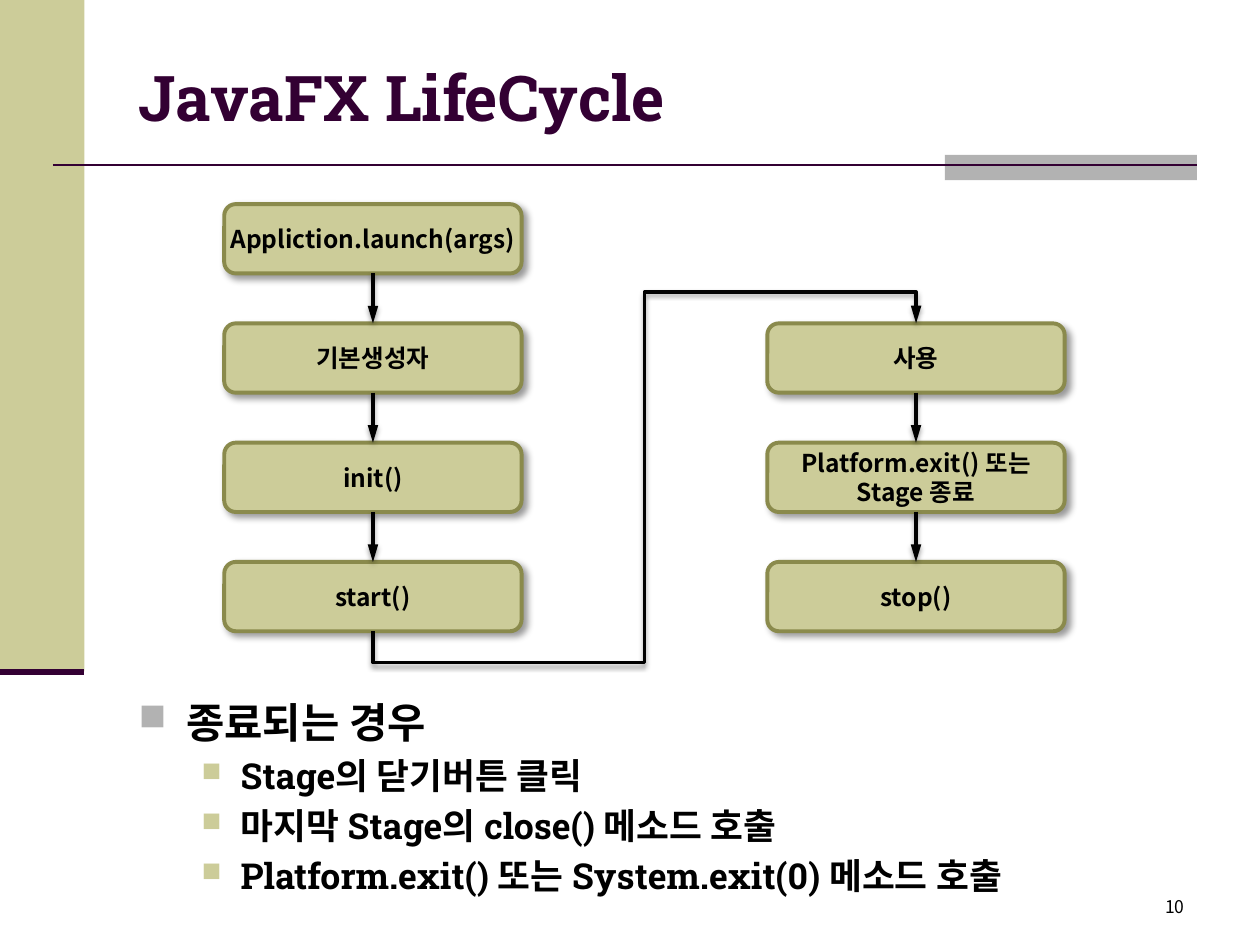
from dataclasses import dataclass
from itertools import pairwise

from lxml.etree import SubElement
from pptx import Presentation
from pptx.dml.color import RGBColor
from pptx.enum.shapes import MSO_CONNECTOR, MSO_SHAPE
from pptx.enum.text import MSO_ANCHOR, MSO_AUTO_SIZE, PP_ALIGN
from pptx.oxml.ns import qn
from pptx.util import Inches, Pt


@dataclass(frozen=True)
class Theme:
    purple: str = "330033"
    khaki: str = "CCCC99"
    olive: str = "8A8A4C"
    gray: str = "B2B2B2"
    black: str = "000000"
    heading_font: str = "Roboto Slab"
    label_font: str = "Noto Sans CJK KR"
    title_size: float = 36
    list_sizes: tuple = (23.8, 20.4)
    box_size: float = 14
    number_size: float = 10


@dataclass(frozen=True)
class Box:
    """A region of the slide, in inches."""
    x: float
    y: float
    w: float
    h: float

    def emu(self):
        return [Inches(v) for v in (self.x, self.y, self.w, self.h)]


THEME = Theme()
BULLETS = ((THEME.gray, 90, 0.38, 0.38), (THEME.khaki, 75, 0.81, 0.31))
LIFECYCLE = (
    (0, 0, ["Appliction.launch(args)"]),
    (0, 1, ["기본생성자"]),
    (0, 2, ["init()"]),
    (0, 3, ["start()"]),
    (1, 1, ["사용"]),
    (1, 2, ["Platform.exit() 또는", "Stage 종료"]),
    (1, 3, ["stop()"]),
)
CLOSING = (
    (0, "종료되는 경우"),
    (1, "Stage의 닫기버튼 클릭"),
    (1, "마지막 Stage의 close() 메소드 호출"),
    (1, "Platform.exit() 또는 System.exit(0) 메소드 호출"),
)


def rgb(color):
    return RGBColor.from_string(color)


def child(parent, tag, **attrs):
    return SubElement(parent, qn(tag), {k: str(v) for k, v in attrs.items()})


def add_run(p, text, size, color, font, bold=True):
    r = p.add_run()
    r.text = text
    for name, value in {"size": Pt(size), "bold": bold, "name": font}.items():
        setattr(r.font, name, value)
    r.font.color.rgb = rgb(color)
    child(r.font._element, "a:ea", typeface=font)


def set_frame(tf, **values):
    for name, value in values.items():
        setattr(tf, name, value)


def add_shadow(s, alpha, blur, dist, angle):
    effects = child(s._element.spPr, "a:effectLst")
    outer = child(effects, "a:outerShdw", blurRad=Pt(blur), dist=Pt(dist),
                  dir=angle * 60000, algn="tl", rotWithShape=0)
    color = child(outer, "a:srgbClr", val=THEME.black)
    child(color, "a:alpha", val=alpha * 1000)


def add_bar(slide, box, color):
    s = slide.shapes.add_shape(MSO_SHAPE.RECTANGLE, *box.emu())
    s.shadow.inherit = False
    s.fill.solid()
    s.fill.fore_color.rgb = rgb(color)
    s.line.fill.background()


def add_rule(slide, x1, x2, y, width):
    s = slide.shapes.add_connector(
        MSO_CONNECTOR.STRAIGHT, Inches(x1), Inches(y), Inches(x2), Inches(y))
    s.line.color.rgb = rgb(THEME.purple)
    s.line.width = Pt(width)
    child(s._element.spPr, "a:effectLst")


def add_frame_decoration(slide, side, header):
    """Side band with its foot line, and the rule below the title."""
    add_bar(slide, side, THEME.khaki)
    add_bar(slide, Box(header.x + header.w - 2, header.y, 2, header.h), THEME.gray)
    add_rule(slide, header.x, header.x + header.w, header.y + 0.08, 1.5)
    add_rule(slide, side.x, side.x + side.w, side.y + side.h, 3.5)


def place(s, box):
    s.left, s.top, s.width, s.height = box.emu()


def fill_title(s, box, text):
    place(s, box)
    set_frame(s.text_frame, vertical_anchor=MSO_ANCHOR.MIDDLE,
              auto_size=MSO_AUTO_SIZE.NONE)
    p = s.text_frame.paragraphs[0]
    p.alignment = PP_ALIGN.LEFT
    add_run(p, text, THEME.title_size, THEME.purple, THEME.heading_font)


def fill_list(s, box, items):
    place(s, box)
    tf = s.text_frame
    tf.auto_size = MSO_AUTO_SIZE.NONE
    for i, (level, text) in enumerate(items):
        p = tf.add_paragraph() if i else tf.paragraphs[0]
        color, percent, margin, hanging = BULLETS[level]
        p.level = level
        p.line_spacing = 1.0
        p.space_before = Pt(4 if i else 0)
        pPr = p._p.get_or_add_pPr()
        pPr.set("marL", str(Inches(margin)))
        pPr.set("indent", str(-Inches(hanging)))
        child(child(pPr, "a:buClr"), "a:srgbClr", val=color)
        child(pPr, "a:buSzPct", val=percent * 1000)
        child(pPr, "a:buFont", typeface="Wingdings", charset=2)
        child(pPr, "a:buChar", char="n")
        add_run(p, text, THEME.list_sizes[level], THEME.black, THEME.heading_font)


def add_step(slide, box, lines):
    s = slide.shapes.add_shape(MSO_SHAPE.ROUNDED_RECTANGLE, *box.emu())
    s.fill.solid()
    s.fill.fore_color.rgb = rgb(THEME.khaki)
    s.line.color.rgb = rgb(THEME.olive)
    s.line.width = Pt(2.25)
    add_shadow(s, 40, 4, 3, 45)
    tf = s.text_frame
    set_frame(tf, word_wrap=False, vertical_anchor=MSO_ANCHOR.MIDDLE)
    for i, line in enumerate(lines):
        p = tf.add_paragraph() if i else tf.paragraphs[0]
        p.alignment = PP_ALIGN.CENTER
        add_run(p, line, THEME.box_size, THEME.black, THEME.label_font)
    return s


def add_arrow(slide, start, end, kind=MSO_CONNECTOR.STRAIGHT):
    s = slide.shapes.add_connector(kind, 0, 0, 0, 0)
    s.begin_connect(start, 2)
    s.end_connect(end, 0)
    s.line.color.rgb = rgb(THEME.black)
    s.line.width = Pt(2)
    child(s.line._get_or_add_ln(), "a:tailEnd", type="triangle", w="med", len="lg")
    add_shadow(s, 38, 3.1, 1.6, 90)
    return s


def add_return_arrow(slide, start, end):
    """Leaves below start, climbs between the columns and enters end from above."""
    s = add_arrow(slide, start, end, MSO_CONNECTOR.ELBOW)
    across, rise = s.width, s.height
    mid_x, mid_y = s.left + across // 2, s.top + rise // 2
    s.left, s.top = mid_x - rise // 2, mid_y - across // 2
    s.width, s.height = rise, across
    xfrm = s._element.spPr.find(qn("a:xfrm"))
    for name, value in {"rot": 90 * 60000, "flipH": 1, "flipV": 1}.items():
        xfrm.set(name, str(value))
    geom = s._element.spPr.find(qn("a:prstGeom"))
    geom.set("prst", "bentConnector5")
    guides = geom.find(qn("a:avLst"))
    for i, value in enumerate((-10200, 50000, 110200), 1):
        child(guides, "a:gd", name=f"adj{i}", fmla=f"val {value}")


def add_lifecycle(slide, box):
    w, h = 2.36, 0.55
    x_step, y_step = box.w - w, (box.h - h) / 3
    steps = [(col, add_step(slide, Box(box.x + col * x_step, box.y + row * y_step, w, h), lines))
             for col, row, lines in LIFECYCLE]
    for (col, start), (next_col, end) in pairwise(steps):
        connect = add_arrow if col == next_col else add_return_arrow
        connect(slide, start, end)


def add_number(slide, box, text):
    s = slide.shapes.add_textbox(*box.emu())
    s.text_frame.word_wrap = True
    p = s.text_frame.paragraphs[0]
    p.alignment = PP_ALIGN.RIGHT
    add_run(p, text, THEME.number_size, THEME.black, THEME.label_font, bold=False)


def main():
    prs = Presentation()
    prs.slide_width, prs.slide_height = Inches(10), Inches(7.5)
    slide = prs.slides.add_slide(prs.slide_layouts[1])
    add_frame_decoration(slide, Box(0, 0, 0.67, 5.33), Box(0.42, 1.23, 9.08, 0.2))
    fill_title(slide.shapes.title, Box(1, 0.3, 8.5, 0.93), "JavaFX LifeCycle")
    add_lifecycle(slide, Box(1.78, 1.62, 6.67, 3.39))
    fill_list(slide.placeholders[1], Box(1, 5.48, 8.5, 1.5), CLOSING)
    add_number(slide, Box(7.42, 7.06, 2.08, 0.28), "10")
    prs.save("out.pptx")


if __name__ == "__main__":
    main()
